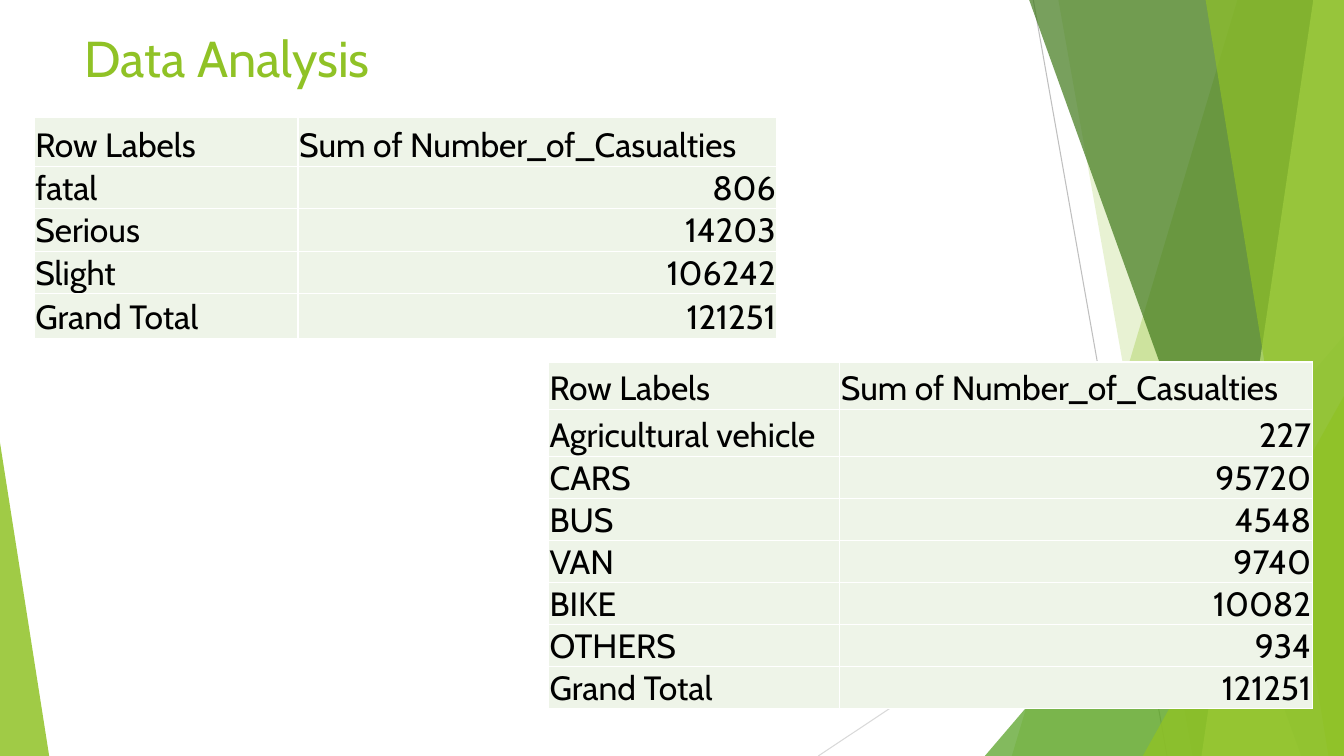
from lxml.etree import SubElement
from pptx import Presentation
from pptx.dml.color import RGBColor
from pptx.enum.shapes import MSO_CONNECTOR, MSO_SHAPE
from pptx.enum.text import MSO_ANCHOR, PP_ALIGN
from pptx.oxml import parse_xml
from pptx.oxml.ns import nsdecls, qn
from pptx.util import Cm, Pt

WIDTH, HEIGHT = 33.87, 19.05
COLORS = {
    "green": "90C226", "leaf": "54A021", "forest": "3F7819", "lime": "C0E474",
    "cell": "EEF4E8", "border": "FFFFFF", "text": "000000",
    "gray": "BFBFBF", "light_gray": "D9D9D9",
}
HEADER = ("Row Labels", "Sum of Number_of_Casualties")
SEVERITY = [
    HEADER, ("fatal", "806"), ("Serious", "14203"), ("Slight", "106242"),
    ("Grand Total", "121251"),
]
VEHICLES = [
    HEADER, ("Agricultural vehicle", "227"), ("CARS", "95720"), ("BUS", "4548"),
    ("VAN", "9740"), ("BIKE", "10082"), ("OTHERS", "934"), ("Grand Total", "121251"),
]


class SlideBuilder:
    """Draws styled elements on the current slide."""

    font = "Cabin"

    def __init__(self, slide):
        """Keep the slide to draw on."""
        self.slide = slide
        self.shapes = slide.shapes

    def color(self, name):
        """Return a named colour."""
        return RGBColor.from_string(COLORS[name])

    def add_text(self, paragraph, text, size, color):
        """Add one styled run."""
        run = paragraph.add_run()
        run.text = text
        run.font.name = self.font
        run.font.size = Pt(size)
        run.font.color.rgb = self.color(color)

    def paint(self, shape, color, opacity):
        """Fill a shape with a translucent colour and no outline."""
        shape.shadow.inherit = False
        shape.line.fill.background()
        shape.fill.solid()
        shape.fill.fore_color.rgb = self.color(color)
        rgb = shape.element.spPr.find(qn("a:solidFill"))[0]
        SubElement(rgb, qn("a:alpha"), val=str(opacity * 1000))

    def line(self, x1, y1, x2, y2, color):
        """Draw a thin straight line."""
        connector = self.shapes.add_connector(
            MSO_CONNECTOR.STRAIGHT, Cm(x1), Cm(y1), Cm(x2), Cm(y2))
        connector.line.color.rgb = self.color(color)
        connector.line.width = Pt(0.75)
        SubElement(connector.element.spPr, qn("a:effectLst"))

    def panel(self, top_x, bottom_x, color, opacity):
        """Draw a full-height panel from a slanted edge to the right margin."""
        top = Cm(-0.02)
        builder = self.shapes.build_freeform(Cm(top_x), top)
        builder.add_line_segments([
            (Cm(WIDTH), top), (Cm(WIDTH), Cm(HEIGHT)), (Cm(bottom_x), Cm(HEIGHT))])
        self.paint(builder.convert_to_shape(), color, opacity)

    def triangle(self, left, top, right, apex, color, opacity):
        """Draw a right triangle standing on the bottom of the slide."""
        shape = self.shapes.add_shape(
            MSO_SHAPE.ISOSCELES_TRIANGLE,
            Cm(left), Cm(top), Cm(right - left), Cm(HEIGHT - top))
        shape.adjustments[0] = apex
        self.paint(shape, color, opacity)

    def title(self, text):
        """Place the title in front of the decoration."""
        title = self.shapes.title
        title.left, title.top, title.width, title.height = (
            Cm(1.88), Cm(0.56), Cm(23.88), Cm(2.69))
        title.element.getparent().append(title.element)
        frame = title.text_frame
        frame.word_wrap = True
        frame.vertical_anchor = MSO_ANCHOR.TOP
        frame.paragraphs[0].alignment = PP_ALIGN.LEFT
        self.add_text(frame.paragraphs[0], text, 36, "green")

    def cell(self, cell, text, align):
        """Fill, frame and label one table cell."""
        for side in ("lnL", "lnR", "lnT", "lnB"):
            cell._tc.get_or_add_tcPr().append(parse_xml(
                f'<a:{side} {nsdecls("a")} w="12700"><a:solidFill>'
                f'<a:srgbClr val="{COLORS["border"]}"/></a:solidFill></a:{side}>'))
        cell.fill.solid()
        cell.fill.fore_color.rgb = self.color("cell")
        cell.margin_left = cell.margin_right = cell.margin_top = Cm(0.03)
        cell.margin_bottom = 0
        cell.vertical_anchor = MSO_ANCHOR.BOTTOM
        paragraph = cell.text_frame.paragraphs[0]
        paragraph.alignment = align
        self.add_text(paragraph, text, 24, "text")

    def table(self, left, top, widths, heights, rows):
        """Draw a table with numbers aligned right below its header."""
        table = self.shapes.add_table(
            len(rows), len(widths), Cm(left), Cm(top),
            Cm(sum(widths)), Cm(sum(heights))).table
        table.first_row = table.horz_banding = False
        for column, width in zip(table.columns, widths):
            column.width = Cm(width)
        for row, height, values in zip(table.rows, heights, rows):
            row.height = Cm(height)
            for cell, value in zip(row.cells, values):
                align = PP_ALIGN.RIGHT if value.isdigit() else PP_ALIGN.LEFT
                self.cell(cell, value, align)


def main():
    """Build and save the slide."""
    presentation = Presentation()
    presentation.slide_width, presentation.slide_height = Cm(WIDTH), Cm(HEIGHT)
    builder = SlideBuilder(presentation.slides.add_slide(presentation.slide_layouts[5]))

    builder.line(26.04, 0, 29.41, HEIGHT, "gray")
    builder.line(WIDTH, 10.24, 20.62, HEIGHT, "light_gray")
    builder.panel(31.19, 25.5, "green", 30)
    builder.panel(26.67, 30.05, "green", 20)
    builder.triangle(24.82, 8.46, WIDTH, 1, "leaf", 72)
    builder.panel(25.93, 32.79, "forest", 70)
    builder.panel(33.1, 30.28, "lime", 70)
    builder.panel(30.38, 33.48, "green", 65)
    builder.triangle(28.8, 9.98, WIDTH, 1, "green", 80)
    builder.triangle(0, 11.15, 1.24, 0, "green", 85)

    builder.title("Data Analysis")
    builder.table(0.86, 2.95, (6.65, 12.07), [1.24] + [1.07] * 3 + [1.12], SEVERITY)
    builder.table(13.82, 9.12, (7.34, 11.91), [1.19] * 2 + [1.05] * 6, VEHICLES)
    presentation.save("out.pptx")


if __name__ == "__main__":
    main()
